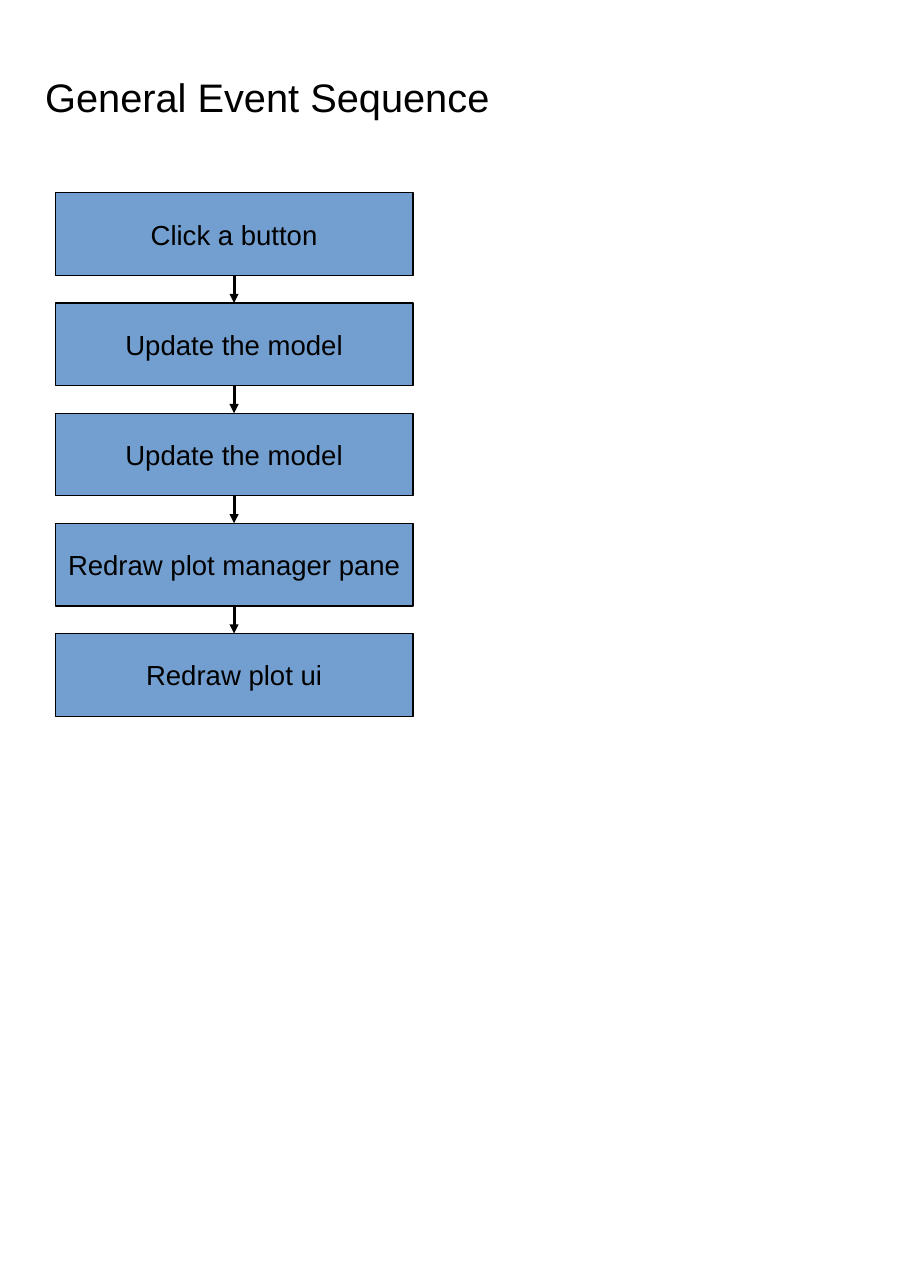
"""Build the General Event Sequence flow slide."""
import dataclasses

import pptx
import pptx.dml.color
import pptx.enum.shapes
import pptx.enum.text
import pptx.oxml
import pptx.oxml.ns
import pptx.util
from pptx.util import Inches, Pt


@dataclasses.dataclass(frozen=True)
class Theme:
    font: str = "Arial"
    ink: pptx.dml.color.RGBColor = pptx.dml.color.RGBColor(0x00, 0x00, 0x00)
    fill: pptx.dml.color.RGBColor = pptx.dml.color.RGBColor(0x72, 0x9F, 0xCF)
    title_size: int = 26
    step_size: int = 18
    line_width: int = 0


THEME = Theme()
STEPS = [
    "Click a button",
    "Update the model",
    "Update the model",
    "Redraw plot manager pane",
    "Redraw plot ui",
]
STEP_LEFT, STEP_TOP, STEP_WIDTH, STEP_HEIGHT = 0.5, 1.75, 3.25, 0.75
STEP_PITCH = 1


def set_text(shape, text, size, align):
    tf = shape.text_frame
    tf.text = text
    tf.word_wrap = True
    tf.vertical_anchor = pptx.enum.text.MSO_ANCHOR.MIDDLE
    p = tf.paragraphs[0]
    p.alignment = align
    p.font.name = THEME.font
    p.font.size = Pt(size)
    p.font.color.rgb = THEME.ink


def set_line(line):
    line.color.rgb = THEME.ink
    line.width = Pt(THEME.line_width)


def set_title(s, text):
    title = s.shapes.title
    title.left, title.top = Inches(0.41), Inches(0.47)
    title.width, title.height = Inches(7.44), Inches(0.82)
    set_text(title, text, THEME.title_size, pptx.enum.text.PP_ALIGN.LEFT)
    tf = title.text_frame
    tf.auto_size = pptx.enum.text.MSO_AUTO_SIZE.NONE
    tf.margin_left = tf.margin_right = tf.margin_top = tf.margin_bottom = 0


def add_step(s, index, text):
    top = STEP_TOP + index * STEP_PITCH
    sp = s.shapes.add_shape(
        pptx.enum.shapes.MSO_SHAPE.RECTANGLE,
        Inches(STEP_LEFT), Inches(top), Inches(STEP_WIDTH), Inches(STEP_HEIGHT),
    )
    sp.shadow.inherit = False
    sp.fill.solid()
    sp.fill.fore_color.rgb = THEME.fill
    set_line(sp.line)
    set_text(sp, text, THEME.step_size, pptx.enum.text.PP_ALIGN.CENTER)
    return sp


def add_arrow(s, upper, lower):
    arrow = s.shapes.add_connector(
        pptx.enum.shapes.MSO_CONNECTOR.STRAIGHT, 0, 0, 0, 0
    )
    arrow.begin_connect(upper, 2)
    arrow.end_connect(lower, 0)
    set_line(arrow.line)
    ln = arrow.line._get_or_add_ln()
    tail = pptx.oxml.parse_xml(
        f'<a:tailEnd {pptx.oxml.ns.nsdecls("a")} type="triangle"/>'
    )
    ln.append(tail)
    effects = pptx.oxml.parse_xml(f'<a:effectLst {pptx.oxml.ns.nsdecls("a")}/>')
    ln.addnext(effects)


def main():
    prs = pptx.Presentation()
    prs.slide_width, prs.slide_height = Inches(8.27), Inches(11.69)
    s = prs.slides.add_slide(prs.slide_layouts[5])
    set_title(s, "General Event Sequence")
    steps = [add_step(s, i, text) for i, text in enumerate(STEPS)]
    for upper, lower in zip(steps, steps[1:]):
        add_arrow(s, upper, lower)
    prs.save("out.pptx")


if __name__ == "__main__":
    main()
